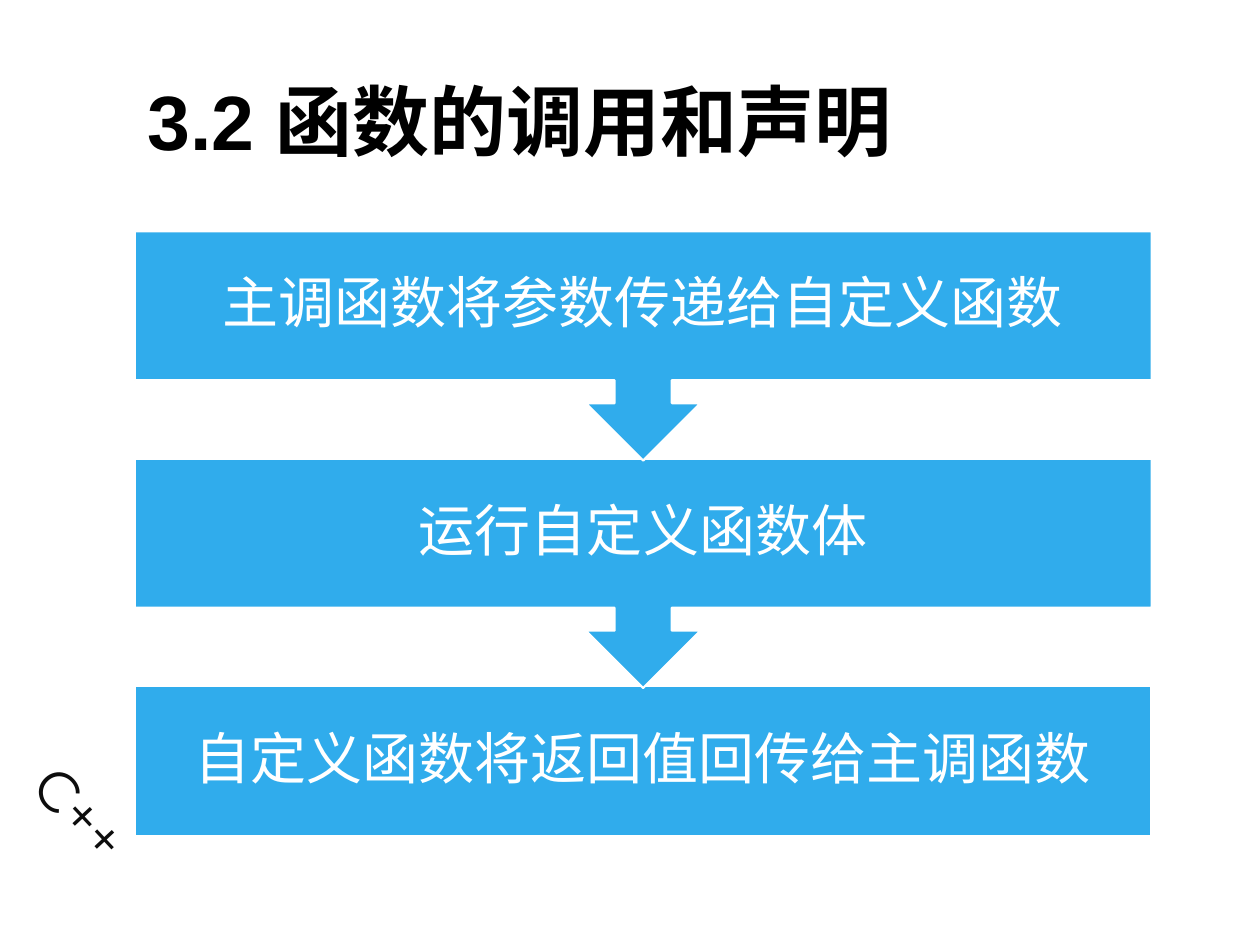
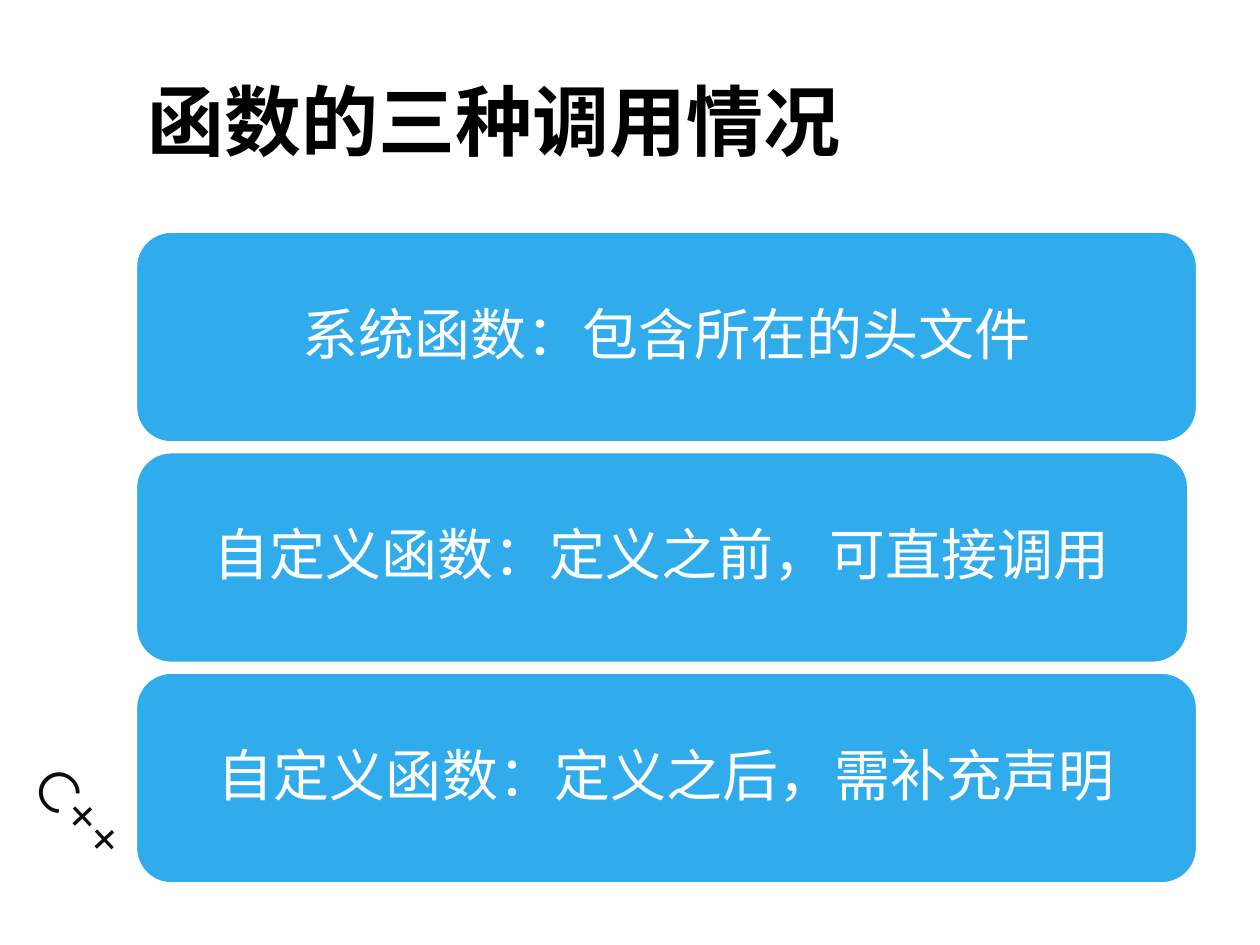
from dataclasses import dataclass
from typing import NamedTuple

import pptx
import pptx.dml.color
import pptx.enum.shapes
import pptx.enum.text
import pptx.util

SHAPE = pptx.enum.shapes.MSO_SHAPE
ALIGN = pptx.enum.text.PP_ALIGN
ANCHOR = pptx.enum.text.MSO_ANCHOR

SLIDE_WIDTH = pptx.util.Inches(10)
SLIDE_HEIGHT = pptx.util.Inches(7.5)
COLUMN = SLIDE_WIDTH / 100
ROW = SLIDE_HEIGHT / 75
TITLE_ONLY = 5


@dataclass(frozen=True)
class Theme:
    accent: str = "30ACEC"
    light: str = "FFFFFF"
    title_ink: str = "000000"
    mark_ink: str = "0D0D0D"
    font: str = "Arial"
    mark_font: str = "Montserrat"
    title_size: float = 44
    body_size: float = 32
    outline: float = 1.25


THEME = Theme()


class Area(NamedTuple):
    """A place on the slide, in grid columns and rows."""
    left: float
    top: float
    width: float
    height: float

    def lengths(self) -> tuple[int, ...]:
        return (round(self.left * COLUMN), round(self.top * ROW),
                round(self.width * COLUMN), round(self.height * ROW))


class Panel(NamedTuple):
    text: str
    kind: SHAPE
    area: Area
    inset: tuple[float, float]


TITLE_AREA = Area(10.7, 2.9, 84.3, 13.2)
# The corner mark stands in the left margin, clear of the panels.
MARK_AREA = Area(0.4, 63.4, 16.1, 6.4)
MARK_ROTATION = 46.9

CALL_STEPS = ["主调函数将参数传递给自定义函数", "运行自定义函数体", "自定义函数将返回值回传给主调函数"]
STEP_TOP, STEP_PITCH = 18.35, 18.05
STEP_HEIGHT, LAST_STEP_HEIGHT = 18.2, 11.9

CALL_CASES = [
    ("系统函数：包含所在的头文件", 84.2),
    ("自定义函数：定义之前，可直接调用", 83.5),
    ("自定义函数：定义之后，需补充声明", 84.2),
]
CASE_TOP, CASE_PITCH, CASE_HEIGHT = 18.4, 17.5, 16.7


def rgb(value: str) -> pptx.dml.color.RGBColor:
    return pptx.dml.color.RGBColor.from_string(value)


def write_text(frame, text: str, *, size: float, color: str, font: str = THEME.font,
               bold: bool = False, align=ALIGN.LEFT, anchor=ANCHOR.TOP,
               line_spacing: float = 1, inset: tuple[float, float] = (0.1, 0.05)) -> None:
    frame.word_wrap = True
    frame.auto_size = pptx.enum.text.MSO_AUTO_SIZE.NONE
    frame.vertical_anchor = anchor
    frame.margin_left = frame.margin_right = pptx.util.Inches(inset[0])
    frame.margin_top = frame.margin_bottom = pptx.util.Inches(inset[1])
    para = frame.paragraphs[0]
    para.alignment = align
    para.line_spacing = line_spacing
    span = para.add_run()
    span.text = text
    span.font.name = font
    span.font.size = pptx.util.Pt(size)
    span.font.bold = bold
    span.font.color.rgb = rgb(color)


def add_page(deck, title: str):
    """Add a slide with the shared corner mark and title."""
    page = deck.slides.add_slide(deck.slide_layouts[TITLE_ONLY])
    mark = page.shapes.add_textbox(*MARK_AREA.lengths())
    mark.rotation = MARK_ROTATION
    write_text(mark.text_frame, "C++", size=THEME.body_size,
               color=THEME.mark_ink, font=THEME.mark_font)
    heading = page.shapes.title
    heading.left, heading.top, heading.width, heading.height = TITLE_AREA.lengths()
    write_text(heading.text_frame, title, size=THEME.title_size,
               color=THEME.title_ink, bold=True, anchor=ANCHOR.MIDDLE)
    return page


def add_panel(page, panel: Panel) -> None:
    box = page.shapes.add_shape(panel.kind, *panel.area.lengths())
    box.shadow.inherit = False
    box.fill.solid()
    box.fill.fore_color.rgb = rgb(THEME.accent)
    box.line.color.rgb = rgb(THEME.light)
    box.line.width = pptx.util.Pt(THEME.outline)
    write_text(box.text_frame, panel.text, size=THEME.body_size,
               color=THEME.light, align=ALIGN.CENTER, anchor=ANCHOR.MIDDLE,
               line_spacing=0.9, inset=panel.inset)


def step_panels() -> list[Panel]:
    """Stack the steps bottom first, so that each arrow lies over the next step."""
    panels = []
    for index, text in enumerate(CALL_STEPS):
        is_last = index == len(CALL_STEPS) - 1
        kind = SHAPE.RECTANGLE if is_last else SHAPE.DOWN_ARROW_CALLOUT
        height = LAST_STEP_HEIGHT if is_last else STEP_HEIGHT
        area = Area(10.7, STEP_TOP + index * STEP_PITCH, 80.7, height)
        panels.append(Panel(text, kind, area, (0.25, 0.25)))
    return panels[::-1]


def case_panels() -> list[Panel]:
    return [Panel(text, SHAPE.ROUNDED_RECTANGLE,
                  Area(10.8, CASE_TOP + index * CASE_PITCH, width, CASE_HEIGHT),
                  (0.13, 0.07))
            for index, (text, width) in enumerate(CALL_CASES)]


def main() -> None:
    deck = pptx.Presentation()
    deck.slide_width, deck.slide_height = SLIDE_WIDTH, SLIDE_HEIGHT
    pages = [
        ("3.2 函数的调用和声明", step_panels()),
        ("函数的三种调用情况", case_panels()),
    ]
    for title, panels in pages:
        page = add_page(deck, title)
        for panel in panels:
            add_panel(page, panel)
    deck.save("out.pptx")


if __name__ == "__main__":
    main()
